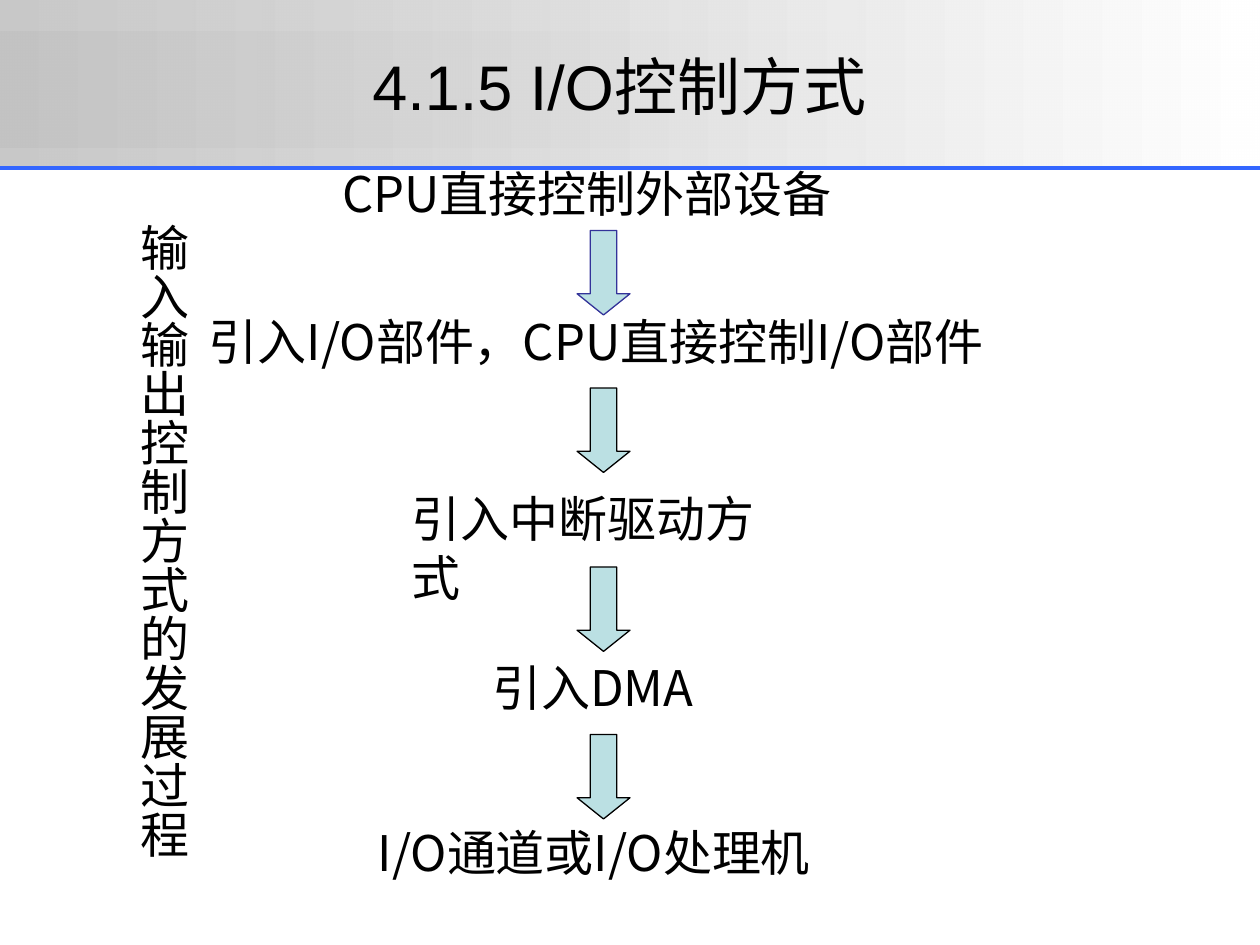
from lxml.etree import SubElement
from pptx import Presentation
from pptx.dml.color import RGBColor
from pptx.enum.shapes import MSO_CONNECTOR, MSO_SHAPE
from pptx.enum.text import MSO_AUTO_SIZE, PP_ALIGN
from pptx.oxml.ns import qn
from pptx.util import Inches, Pt

CJK_FONT = "Noto Sans CJK SC"

# Content: header bands (top, height, opacity of the grey end in percent)
BANDS = [(0, 1.33, 86), (0.25, 0.92, 59)]
TITLE = "4.1.5 I/O控制方式"
SIDE_LABEL = "输入输出控制方式的发展过程"
# Stages of development: text, left, top, width
STAGES = [
    ("CPU直接控制外部设备", 2.62, 1.25, 4.16),
    ("引入I/O部件，CPU直接控制I/O部件", 1.56, 2.42, 6.95),
    ("引入中断驱动方式", 3.17, 3.83, 3.3),
    ("引入DMA", 3.81, 5.17, 1.95),
    ("I/O通道或I/O处理机", 2.9, 6.48, 3.97),
]
# Arrows between stages: top, outline
ARROWS = [(1.83, "333399"), (3.08, "000000"), (4.5, "000000"), (5.83, "000000")]


def color(value):
    return RGBColor.from_string(value)


def add_band(slide, top, height, opacity):
    band = slide.shapes.add_shape(
        MSO_SHAPE.RECTANGLE, 0, Inches(top), Inches(10), Inches(height))
    band.shadow.inherit = False
    band.line.fill.background()
    band.fill.gradient()
    band.fill.gradient_angle = 0
    for stop, position, value in zip(
            band.fill.gradient_stops, (0, 1), ("C0C0C0", "FFFFFF")):
        stop.position = position
        stop.color.rgb = color(value)
    grey = next(band._element.spPr.iter(qn("a:srgbClr")))
    SubElement(grey, qn("a:alpha")).set("val", str(opacity * 1000))


def add_text(slide, text, left, top, width, height, size=28, font=CJK_FONT,
             align=PP_ALIGN.LEFT, vertical=False):
    box = slide.shapes.add_textbox(
        Inches(left), Inches(top), Inches(width), Inches(height))
    frame = box.text_frame
    frame.word_wrap = not vertical
    frame.auto_size = MSO_AUTO_SIZE.SHAPE_TO_FIT_TEXT
    across, along = (0.05, 0.1) if vertical else (0.1, 0.05)
    frame.margin_left = frame.margin_right = Inches(across)
    frame.margin_top = frame.margin_bottom = Inches(along)
    if vertical:
        frame._txBody.bodyPr.set("vert", "eaVert")
    paragraph = frame.paragraphs[0]
    paragraph.alignment = align
    run = paragraph.add_run()
    run.text = text
    run.font.size = Pt(size)
    run.font.color.rgb = color("000000")
    run.font.name = font
    SubElement(run.font._element, qn("a:ea")).set("typeface", CJK_FONT)


def add_arrow(slide, top, outline):
    arrow = slide.shapes.add_shape(
        MSO_SHAPE.DOWN_ARROW, Inches(4.58), Inches(top), Inches(0.42), Inches(0.67))
    arrow.shadow.inherit = False
    arrow.adjustments[0] = 0.5
    arrow.adjustments[1] = 0.4
    arrow.fill.solid()
    arrow.fill.fore_color.rgb = color("BBE0E3")
    arrow.line.color.rgb = color(outline)
    arrow.line.width = Pt(0.75)


def main():
    presentation = Presentation()
    presentation.slide_width = Inches(10)
    presentation.slide_height = Inches(7.5)
    slide = presentation.slides.add_slide(presentation.slide_layouts[6])

    # Header: shaded bands, rule and title
    for band in BANDS:
        add_band(slide, *band)
    rule = slide.shapes.add_connector(
        MSO_CONNECTOR.STRAIGHT, 0, Inches(1.33), Inches(10), Inches(1.33))
    rule.line.color.rgb = color("3366FF")
    rule.line.width = Pt(2.25)
    SubElement(rule._element.spPr, qn("a:effectLst"))
    add_text(slide, TITLE, 1, 0.33, 7.83, 0.7, size=36, font="Arial",
             align=PP_ALIGN.CENTER)

    # Stages and the arrows between them
    for text, left, top, width in STAGES:
        add_text(slide, text, left, top, width, 0.57)
    for arrow in ARROWS:
        add_arrow(slide, *arrow)

    # Vertical label
    add_text(slide, SIDE_LABEL, 0.92, 1.67, 0.66, 5.15,
             font="Times New Roman", vertical=True)

    presentation.save("out.pptx")


if __name__ == "__main__":
    main()
